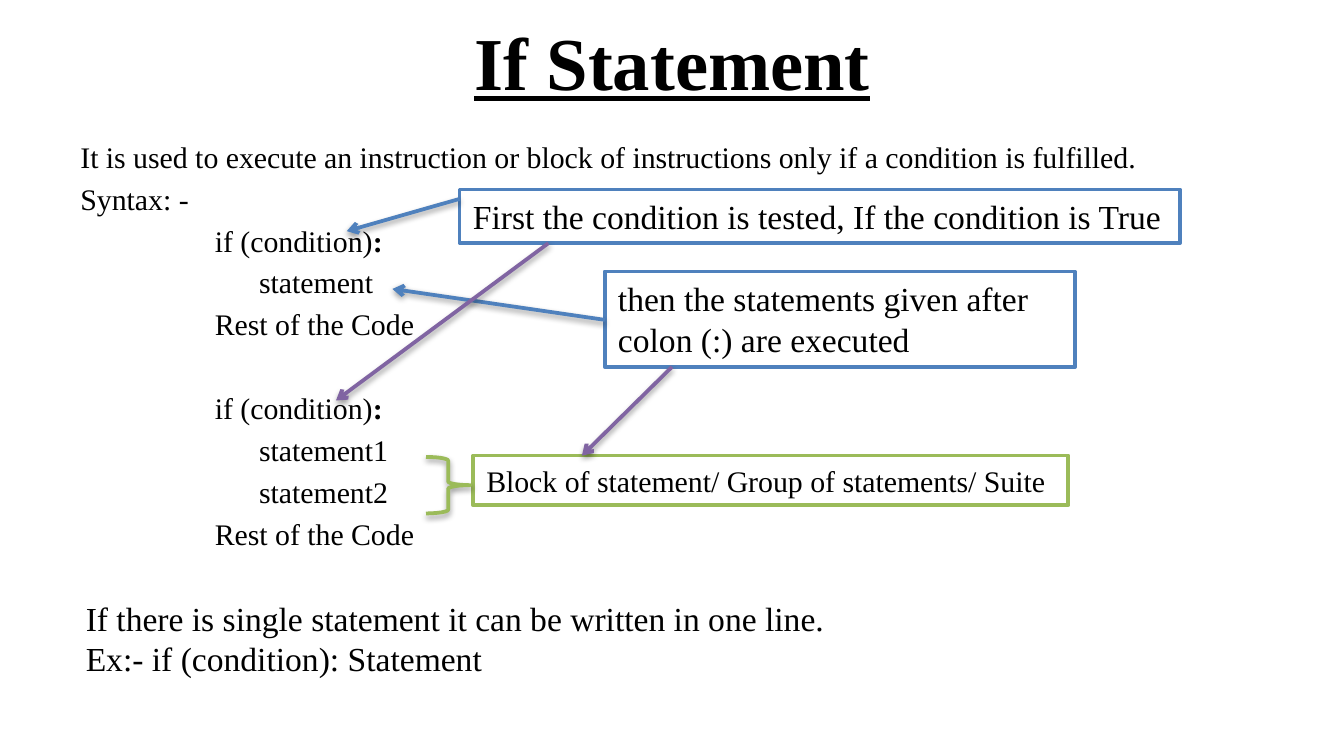
from lxml.etree import SubElement
from pptx import Presentation
from pptx.dml.color import RGBColor
from pptx.enum.shapes import MSO_CONNECTOR, MSO_SHAPE
from pptx.enum.text import MSO_ANCHOR, MSO_AUTO_SIZE, PP_ALIGN
from pptx.oxml.ns import qn
from pptx.util import Inches, Pt

FONT = "Times New Roman"
BLACK, WHITE, BLUE, GREEN, PURPLE = "000000", "FFFFFF", "4F81BD", "9BBB59", "8064A2"
WIDTH = 10
HEIGHT = WIDTH * 9 / 16
LINE_WIDTH, BODY_SIZE = 2, 16
CODE, BLOCK = 1, 1.33  # indents in inches
GAP, BLANK_GAP = 3.3, 25.7  # points before a line

TITLE = ("If Statement", (0.5, -0.02, 9, 0.94))
BODY_AT = (0.5, 0.98, 9, 4.33)
# text, bold ending, indent, space before
BODY = [
    ("It is used to execute an instruction or block of instructions only if a condition is fulfilled.",
     "", 0, GAP),
    ("Syntax: -", "", 0, GAP),
    ("if (condition)", ":", CODE, GAP),
    ("statement", "", BLOCK, GAP),
    ("Rest of the Code", "", CODE, GAP),
    ("if (condition)", ":", CODE, BLANK_GAP),
    ("statement1", "", BLOCK, GAP),
    ("statement2", "", BLOCK, GAP),
    ("Rest of the Code", "", CODE, GAP),
]
# text, place, size, outline, wrap
CALLOUTS = [
    ("First the condition is tested, If the condition is True", (3.42, 1.41, 5.36, 0.4), 18, BLUE, False),
    ("then the statements given after colon (:) are executed", (4.5, 2.02, 3.5, 0.71), 18, BLUE, True),
    ("Block of statement/ Group of statements/ Suite", (3.52, 3.39, 4.43, 0.37), 16, GREEN, False),
]
BRACE_AT = (3.17, 3.4, 0.33, 0.42)
# start, end, colour
ARROWS = [
    ((3.42, 1.48), (2.58, 1.72), BLUE),
    ((4.5, 2.38), (2.92, 2.15), BLUE),
    ((4.08, 1.81), (2.5, 2.98), PURPLE),
    ((5, 2.73), (4.33, 3.39), PURPLE),
]
NOTE = ["If there is single statement it can be written in one line.", "Ex:- if (condition): Statement"]
NOTE_AT = (0.54, 4.4, 7.46, 0.71)


def rgb(value):
    """Turn a hex string into a colour."""
    return RGBColor.from_string(value)


def inches(values):
    """Turn numbers into lengths."""
    return [Inches(v) for v in values]


def add_run(p, text, size, **formats):
    """Add a black run with extra font settings."""
    r = p.add_run()
    r.text = text
    r.font.color.rgb = rgb(BLACK)
    for name, value in {"name": FONT, "size": Pt(size), **formats}.items():
        setattr(r.font, name, value)


def add_text(s, at, lines, size, wrap=True, **formats):
    """Add a text box with one paragraph for each line."""
    sp = s.shapes.add_textbox(*inches(at))
    tf = sp.text_frame
    tf.word_wrap = wrap
    for i, line in enumerate(lines):
        p = tf.paragraphs[0] if i == 0 else tf.add_paragraph()
        add_run(p, line, size, **formats)
    return sp


def set_line(sp, color):
    """Give a shape or connector its outline."""
    sp.line.color.rgb = rgb(color)
    sp.line.width = Pt(LINE_WIDTH)


def add_shadow(sp):
    """Add a soft shadow that falls straight down."""
    effects = SubElement(sp._element.spPr, qn("a:effectLst"))
    shadow = SubElement(effects, qn("a:outerShdw"), blurRad="40000", dist="20000",
                        dir="5400000", rotWithShape="0")
    color = SubElement(shadow, qn("a:srgbClr"), val=BLACK)
    SubElement(color, qn("a:alpha"), val="38000")


def add_arrow(s, start, end, color):
    """Draw an arrow from start to end."""
    sp = s.shapes.add_connector(MSO_CONNECTOR.STRAIGHT, *inches(start + end))
    set_line(sp, color)
    SubElement(sp.line._get_or_add_ln(), qn("a:tailEnd"), type="arrow")
    add_shadow(sp)


prs = Presentation()
prs.slide_width, prs.slide_height = inches((WIDTH, HEIGHT))
s = prs.slides.add_slide(prs.slide_layouts[6])

title, title_at = TITLE
tf = add_text(s, title_at, [title], 40, bold=True, underline=True).text_frame
tf.vertical_anchor = MSO_ANCHOR.MIDDLE
tf.paragraphs[0].alignment = PP_ALIGN.CENTER

tf = add_text(s, BODY_AT, [line[0] for line in BODY], BODY_SIZE).text_frame
for p, (_, ending, indent, gap) in zip(tf.paragraphs, BODY):
    p.space_before = Pt(gap)
    p._p.get_or_add_pPr().set("marL", str(Inches(indent)))
    if ending:
        add_run(p, ending, BODY_SIZE, bold=True)

for text, at, size, color, wrap in CALLOUTS:
    sp = add_text(s, at, [text], size, wrap)
    sp.text_frame.auto_size = MSO_AUTO_SIZE.SHAPE_TO_FIT_TEXT
    sp.fill.solid()
    sp.fill.fore_color.rgb = rgb(WHITE)
    set_line(sp, color)

brace = s.shapes.add_shape(MSO_SHAPE.RIGHT_BRACE, *inches(BRACE_AT))
brace.fill.background()
set_line(brace, GREEN)
add_shadow(brace)

for arrow in ARROWS:
    add_arrow(s, *arrow)

add_text(s, NOTE_AT, NOTE, 18)

prs.save("out.pptx")
